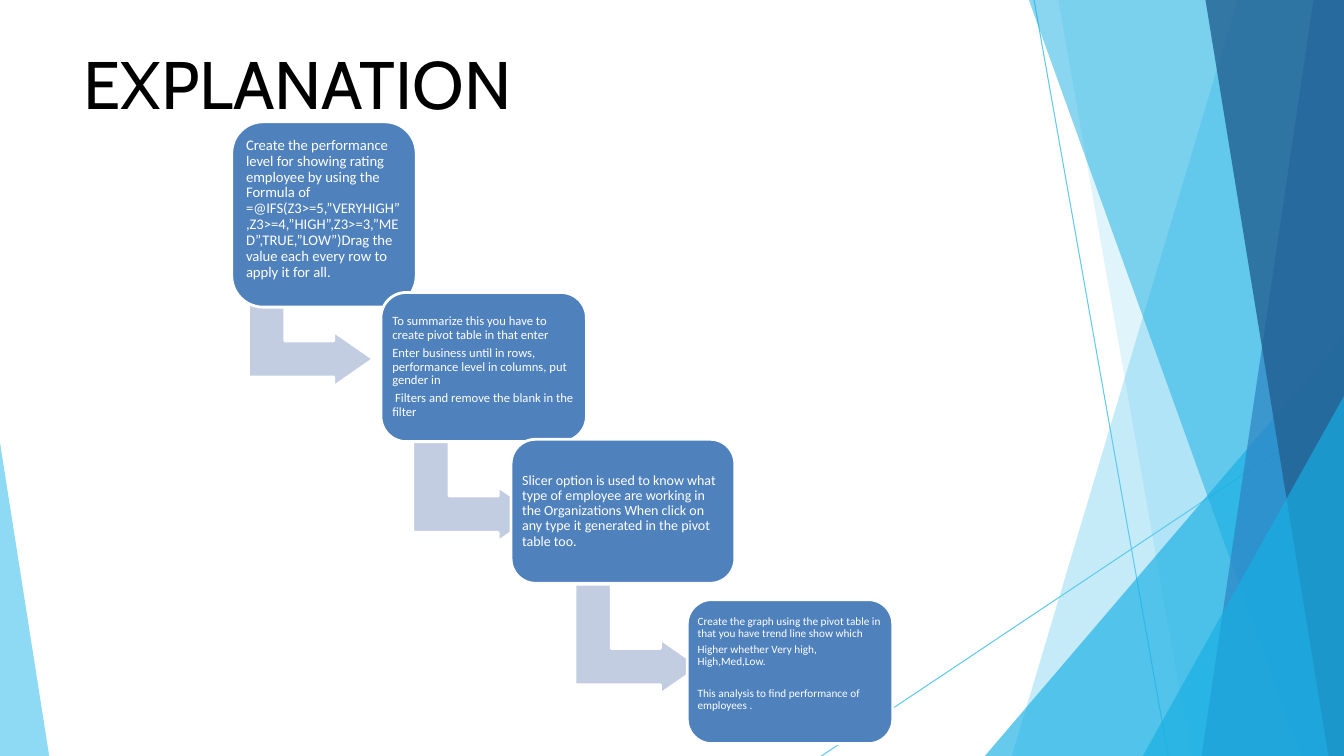
from dataclasses import dataclass
from itertools import zip_longest

from lxml.etree import SubElement
from pptx import Presentation
from pptx.dml.color import RGBColor
from pptx.enum.shapes import MSO_CONNECTOR, MSO_SHAPE
from pptx.enum.text import MSO_ANCHOR, MSO_AUTO_SIZE, PP_ALIGN
from pptx.oxml.ns import qn
from pptx.util import Cm, Pt

WHITE = RGBColor(0xFF, 0xFF, 0xFF)
BLACK = RGBColor(0x00, 0x00, 0x00)
STEP_BLUE = RGBColor(0x4F, 0x81, 0xBD)
ARROW_BLUE = RGBColor(0xC2, 0xCD, 0xE1)
SKY = RGBColor(0x5F, 0xCA, 0xEE)
CYAN = RGBColor(0x17, 0xAF, 0xE3)
MID_BLUE = RGBColor(0x2D, 0x83, 0xC3)
DEEP_BLUE = RGBColor(0x22, 0x61, 0x92)

TITLE_ONLY = 5


@dataclass
class Box:
    """A region of the slide, in centimetres."""
    left: float
    top: float
    width: float
    height: float

    @property
    def right(self):
        return self.left + self.width

    @property
    def bottom(self):
        return self.top + self.height

    def lengths(self):
        return Cm(self.left), Cm(self.top), Cm(self.width), Cm(self.height)


@dataclass
class Step:
    box: Box
    size: float
    inset: float
    paragraphs: list
    bottom_inset: float = 0.1
    last_gap: float = 0


PAGE = Box(0, 0, 33.87, 19.05)
TITLE_BOX = Box(2.11, 1.07, 29.67, 1.9)

STEPS = [
    Step(Box(5.84, 3.07, 4.65, 4.67), 10.5, 0.13, [
        "Create the performance level for showing rating employee by using the "
        "Formula of =@IFS(Z3>=5,”VERYHIGH”,Z3>=4,”HIGH”,Z3>=3,”MED”,TRUE,”LOW”)"
        "Drag the value each every row to apply it for all."], bottom_inset=0.4),
    Step(Box(9.6, 7.37, 5.18, 3.76), 9, 0.1, [
        "To summarize this you have to create pivot table in that enter",
        "Enter business until in rows, performance level in columns, put gender in",
        " Filters and remove the blank in the filter"]),
    Step(Box(12.88, 11.07, 5.64, 3.63), 10, 0.1, [
        "Slicer option is used to know what type of employee are working in the "
        "Organizations When click on any type it generated in the pivot table too."]),
    Step(Box(17.32, 15.11, 5.18, 3.63), 8, 0.08, [
        "Create the graph using the pivot table in that you have trend line show which",
        "Higher whether Very high, High,Med,Low.",
        "This analysis to find performance of employees ."],
        bottom_inset=0.48, last_gap=11.5),
]
ARROWS = [Box(left, top, 2.77, 3.15)
          for left, top in [(6.45, 6.78), (10.59, 10.69), (14.68, 14.53)]]


def write_paragraph(para, text, *, font, size, color, line_spacing=1.0,
                    before=0, after=0):
    para.alignment = PP_ALIGN.LEFT
    para.line_spacing = line_spacing
    para.space_before = Pt(before)
    para.space_after = Pt(after)
    span = para.add_run()
    span.text = text
    span.font.name = font
    span.font.size = Pt(size)
    span.font.color.rgb = color


def set_insets(frame, inset, bottom):
    frame.margin_left = frame.margin_right = frame.margin_top = Cm(inset)
    frame.margin_bottom = Cm(bottom)


def add_block(page, preset, box, fill):
    block = page.shapes.add_shape(preset, *box.lengths())
    block.shadow.inherit = False
    block.fill.solid()
    block.fill.fore_color.rgb = fill
    block.line.color.rgb = WHITE
    block.line.width = Pt(2)
    return block


def add_facet(page, points, color, opacity):
    """Draw a borderless translucent polygon; opacity is in percent."""
    corners = [(Cm(x), Cm(y)) for x, y in points]
    builder = page.shapes.build_freeform(*corners[0], scale=1.0)
    builder.add_line_segments(corners[1:], close=True)
    facet = builder.convert_to_shape()
    facet.shadow.inherit = False
    facet.fill.solid()
    facet.fill.fore_color.rgb = color
    facet.line.fill.background()
    color_element = facet._element.spPr.find(qn("a:solidFill"))[0]
    SubElement(color_element, qn("a:alpha"), val=str(opacity * 1000))


def add_thin_line(page, start, end):
    line = page.shapes.add_connector(
        MSO_CONNECTOR.STRAIGHT, *(Cm(value) for value in start + end))
    line.line.color.rgb = SKY
    line.line.width = Pt(0.75)
    SubElement(line._element.spPr, qn("a:effectLst"))


def draw_background(page, box):
    left, top, right, bottom = box.left, box.top, box.right, box.bottom

    def band(top_x, bottom_x):
        return [(right, top), (left + top_x, top),
                (left + bottom_x, bottom), (right, bottom)]

    def corner(right_y, bottom_x):
        return [(right, top + right_y), (left + bottom_x, bottom), (right, bottom)]

    add_thin_line(page, (left + 26.06, top), (left + 29.44, bottom))
    add_thin_line(page, (right, top + 10.26), (left + 20.7, bottom))
    facets = [
        (band(31.19, 25.5), SKY, 36),
        (band(26.67, 30.02), SKY, 20),
        (corner(8.46, 24.82), CYAN, 66),
        (band(25.93, 32.79), CYAN, 50),
        (band(33.1, 30.28), MID_BLUE, 70),
        (band(30.38, 33.48), DEEP_BLUE, 80),
        (corner(9.98, 28.8), CYAN, 66),
        ([(left, top + 11.15), (left, bottom), (left + 1.24, bottom)], SKY, 70),
    ]
    for points, color, opacity in facets:
        add_facet(page, points, color, opacity)


def draw_title(page, box):
    title = page.shapes.title
    title.left, title.top, title.width, title.height = box.lengths()
    page.shapes._spTree.append(title._element)
    frame = title.text_frame
    frame.auto_size = MSO_AUTO_SIZE.SHAPE_TO_FIT_TEXT
    frame.vertical_anchor = MSO_ANCHOR.TOP
    set_insets(frame, 0, 0)
    write_paragraph(frame.paragraphs[0], "EXPLANATION",
                    font="Cabin", size=48, color=BLACK)


def draw_arrow(page, box):
    arrow = add_block(page, MSO_SHAPE.BENT_UP_ARROW, box, ARROW_BLUE)
    arrow.rotation = 90
    for index, value in enumerate([0.33, 0.25, 0.36]):
        arrow.adjustments[index] = value


def draw_step(page, step):
    block = add_block(page, MSO_SHAPE.ROUNDED_RECTANGLE, step.box, STEP_BLUE)
    block.adjustments[0] = 0.17
    frame = block.text_frame
    frame.word_wrap = True
    frame.vertical_anchor = MSO_ANCHOR.MIDDLE
    set_insets(frame, step.inset, step.bottom_inset)
    last = len(step.paragraphs) - 1
    for index, text in enumerate(step.paragraphs):
        para = frame.add_paragraph() if index else frame.paragraphs[0]
        write_paragraph(para, text, font="Calibri", size=step.size, color=WHITE,
                        line_spacing=0.9, after=round(step.size * 0.35, 1),
                        before=step.last_gap if index == last else 0)


def main():
    deck = Presentation()
    deck.slide_width, deck.slide_height = Cm(PAGE.width), Cm(PAGE.height)
    page = deck.slides.add_slide(deck.slide_layouts[TITLE_ONLY])
    draw_background(page, PAGE)
    draw_title(page, TITLE_BOX)
    for step, arrow in zip_longest(STEPS, ARROWS):
        if arrow:
            draw_arrow(page, arrow)
        draw_step(page, step)
    deck.save("out.pptx")


if __name__ == "__main__":
    main()
